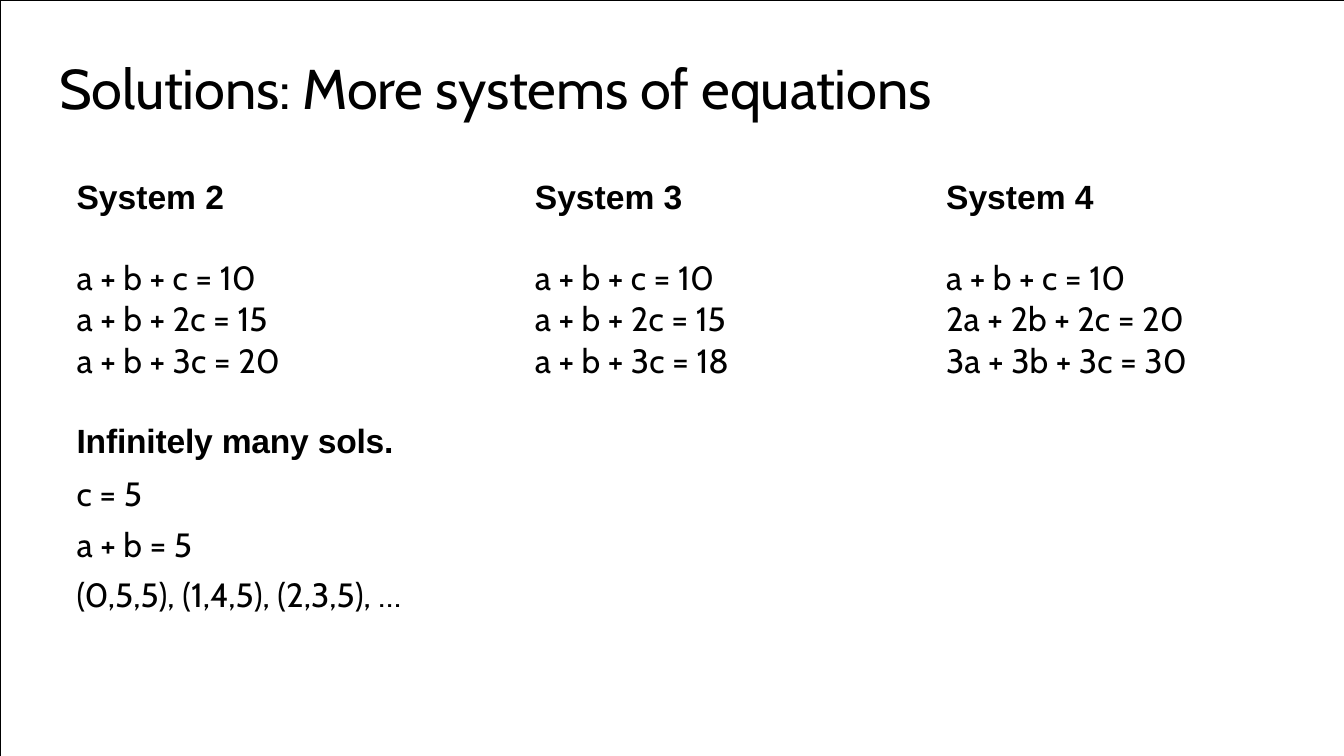
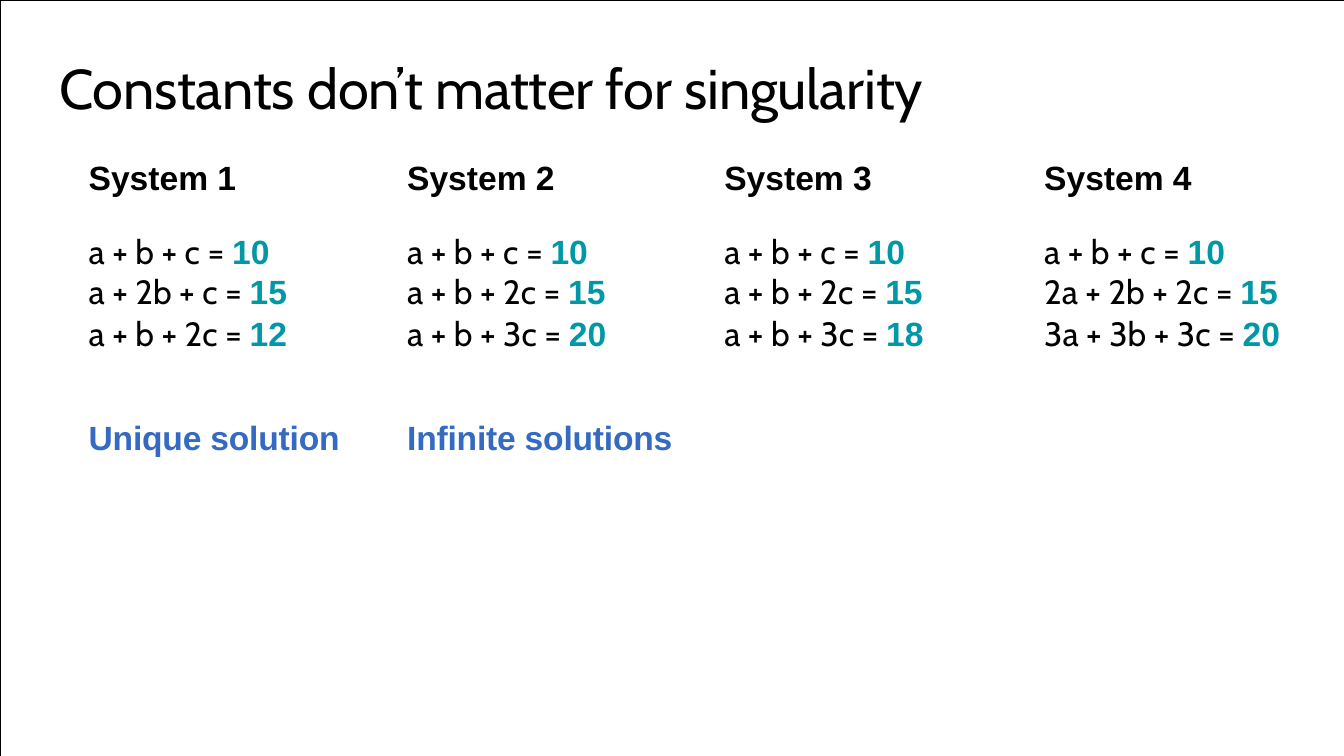
from dataclasses import dataclass

import pptx
import pptx.dml.color
import pptx.enum.shapes
import pptx.util


@dataclass(frozen=True)
class TextStyle:
    font: str
    size: float
    color: str
    bold: bool = False
    tracking: float = 0


class Theme:
    background = "FFFFFF"
    frame = "000000"
    frame_width = 0.25
    title = TextStyle("Cabin", 30, "000000", tracking=-0.1)
    heading = TextStyle("Arial", 18, "000000", bold=True)
    equation = TextStyle("Cabin", 18, "000000")
    constant = TextStyle("Arial", 18, "0097A7", bold=True)
    finding = TextStyle("Arial", 18, "000000", bold=True, tracking=-0.1)
    verdict = TextStyle("Arial", 18, "356AC3", bold=True, tracking=-0.1)


@dataclass(frozen=True)
class Box:
    """An area in grid units."""
    left: float
    top: float
    width: float
    height: float


@dataclass(frozen=True)
class Row:
    height: float
    cells: tuple
    style: TextStyle = Theme.equation
    inset: float = 0
    line_points: float = 0


GRID_COLUMNS = 100
SLIDE_WIDTH = pptx.util.Inches(10)
SLIDE_HEIGHT = SLIDE_WIDTH * 9 // 16
UNIT = SLIDE_WIDTH // GRID_COLUMNS


def grid(units):
    return pptx.util.Emu(round(units * UNIT))


def rgb(color):
    return pptx.dml.color.RGBColor.from_string(color)


def format_run(run, style):
    font = run.font
    font.name, font.size, font.bold = style.font, pptx.util.Pt(style.size), style.bold
    font.color.rgb = rgb(style.color)
    if style.tracking:
        run._r.get_or_add_rPr().set("spc", str(round(style.tracking * 100)))


def add_page(deck, title):
    """Add a blank page with the thin frame and the title line."""
    page = deck.slides.add_slide(deck.slide_layouts[6])
    page.background.fill.solid()
    page.background.fill.fore_color.rgb = rgb(Theme.background)

    frame = page.shapes.add_shape(
        pptx.enum.shapes.MSO_SHAPE.RECTANGLE, 0, 0, SLIDE_WIDTH, SLIDE_HEIGHT)
    frame.shadow.inherit = False
    frame.fill.background()
    frame.line.color.rgb = rgb(Theme.frame)
    frame.line.width = pptx.util.Pt(Theme.frame_width)

    add_title(page, Box(4.3, 3.9, 70, 5.3), title)
    return page


def add_title(page, box, title):
    shape = page.shapes.add_textbox(
        grid(box.left), grid(box.top), grid(box.width), grid(box.height))
    text_frame = shape.text_frame
    text_frame.word_wrap = True
    text_frame.margin_left = text_frame.margin_top = grid(0.1)
    text_frame.margin_right = text_frame.margin_bottom = 0
    text_frame.text = title
    format_run(text_frame.paragraphs[0].runs[0], Theme.title)


def fill_cell(cell, text, row, indent, highlight):
    cell.fill.background()
    cell.margin_left, cell.margin_top = grid(indent), grid(row.inset)
    cell.margin_right = cell.margin_bottom = 0
    if not text:
        return
    paragraph = cell.text_frame.paragraphs[0]
    if row.line_points:
        paragraph.line_spacing = pptx.util.Pt(row.line_points)
    spans = [(text, row.style)]
    if highlight and row.style is Theme.equation:
        left_side, equals, constant = text.partition("= ")
        spans = [(left_side + equals, row.style), (constant, Theme.constant)]
    for words, style in spans:
        span = paragraph.add_run()
        span.text = words
        format_run(span, style)


def add_systems(page, box, columns, indents, rows, highlight=False):
    """Place systems of equations side by side, one per table column."""
    table = page.shapes.add_table(
        len(rows), len(columns), grid(box.left), grid(box.top),
        grid(box.width), grid(box.height)).table
    table.first_row = table.horz_banding = False
    for column, width in zip(table.columns, columns):
        column.width = grid(width)
    for index, row in enumerate(rows):
        table.rows[index].height = grid(row.height)
        texts = row.cells + ("",) * (len(columns) - len(row.cells))
        for place, (text, indent) in enumerate(zip(texts, indents)):
            fill_cell(table.cell(index, place), text, row, indent, highlight)


def build_solutions(deck):
    page = add_page(deck, "Solutions: More systems of equations")
    rows = [
        Row(4.3, ("System 2", "System 3", "System 4"), Theme.heading, 0, 17.4),
        Row(4.6, ("a + b + c = 10",) * 3, inset=1.2),
        Row(3.1, ("a + b + 2c = 15", "a + b + 2c = 15", "2a + 2b + 2c = 20"),
            line_points=19.4),
        Row(4.6, ("a + b + 3c = 20", "a + b + 3c = 18", "3a + 3b + 3c = 30"),
            line_points=19.4),
        Row(4.9, ("Infinitely many sols.",), Theme.finding, 1.2),
        Row(3.8, ("c = 5",), inset=0.1),
        Row(3.8, ("a + b = 5",), inset=0.1),
        Row(3.2, ("(0,5,5), (1,4,5), (2,3,5), …",), inset=0.1, line_points=21.1),
    ]
    add_systems(page, Box(5.4, 13.7, 84.9, 32.3),
                (31.6, 26.5, 26.8), (0.3, 2.8, 6.9), rows)


def build_singularity(deck):
    page = add_page(deck, "Constants don’t matter for singularity")
    rows = [
        Row(4, ("System 1", "System 2", "System 3", "System 4"),
            Theme.heading, 0, 17.4),
        Row(4.3, ("a + b + c = 10",) * 4, inset=1),
        Row(3.1, ("a + 2b + c = 15", "a + b + 2c = 15", "a + b + 2c = 15",
                  "2a + 2b + 2c = 15"), line_points=19.4),
        Row(5.4, ("a + b + 2c = 12", "a + b + 3c = 20", "a + b + 3c = 18",
                  "3a + 3b + 3c = 20"), line_points=19.4),
        Row(5.1, ("Unique solution", "Infinite solutions"),
            Theme.verdict, 2, 21.1),
    ]
    add_systems(page, Box(6.3, 12.3, 91.2, 21.9), (21.6, 24.2, 22.1, 23.3),
                (0.3, 2.4, 1.8, 3.5), rows, highlight=True)


def main():
    deck = pptx.Presentation()
    deck.slide_width, deck.slide_height = SLIDE_WIDTH, SLIDE_HEIGHT
    build_solutions(deck)
    build_singularity(deck)
    deck.save("out.pptx")


if __name__ == "__main__":
    main()
